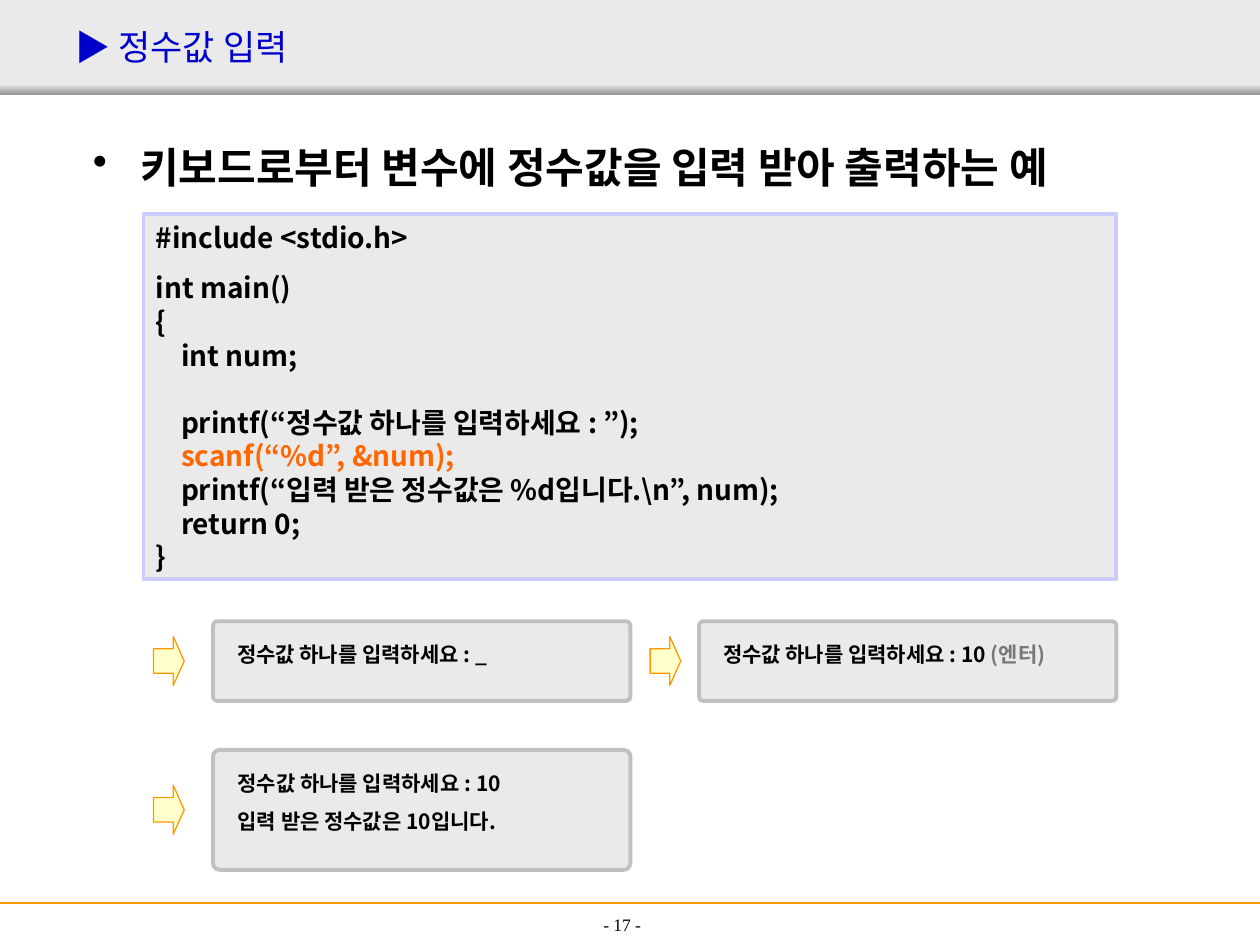
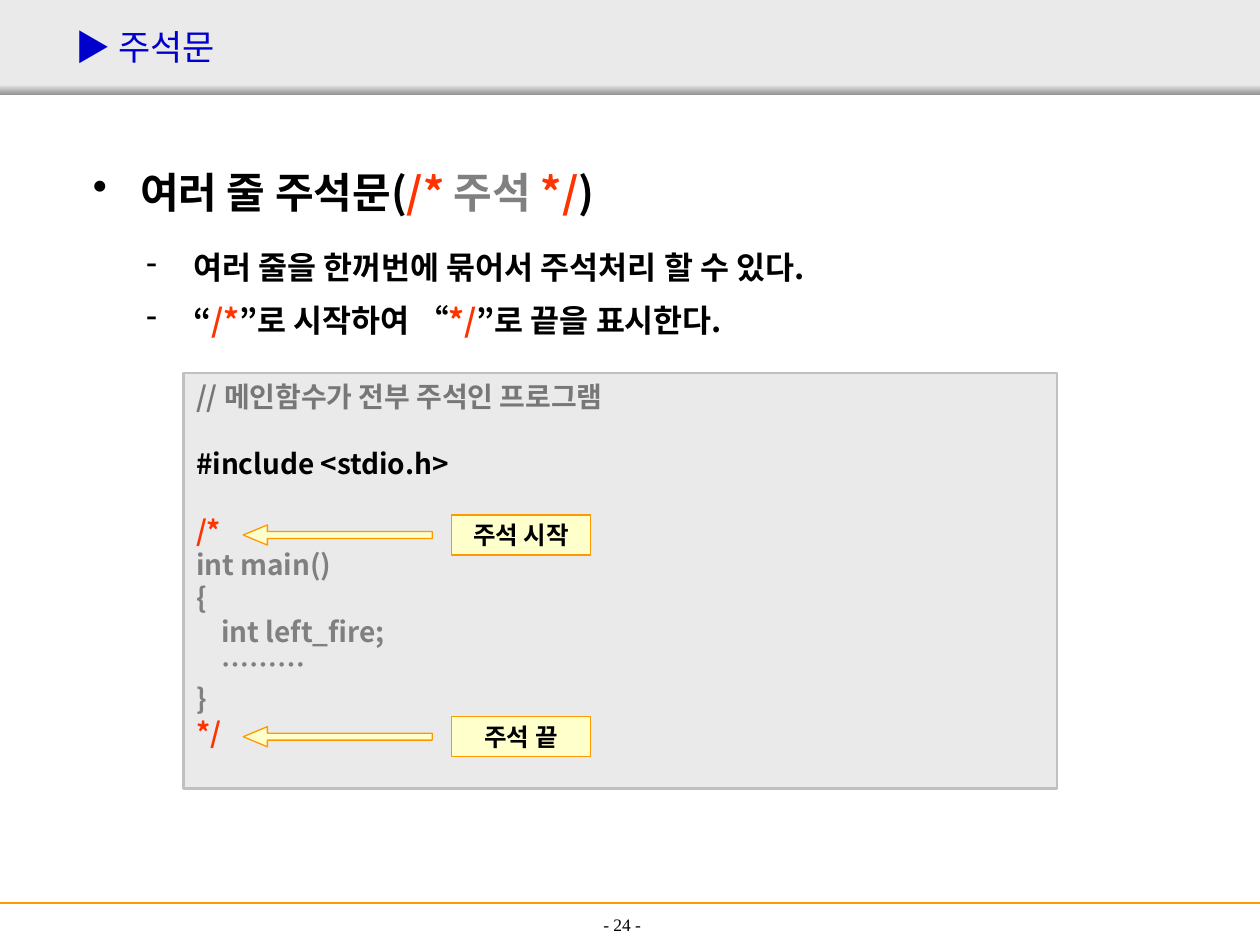
from dataclasses import dataclass

from lxml import etree
from pptx import Presentation
from pptx.dml.color import RGBColor
from pptx.enum import shapes, text
from pptx.oxml import ns
from pptx.util import Pt

FONT = "Noto Sans CJK KR"
BLACK, WHITE, BLUE = "000000", "FFFFFF", "0000CC"
PANEL, LAVENDER, SILVER = "EAEAEA", "CCCCFF", "C0C0C0"
GRAY, DARK_GRAY = "808080", "777777"
RED, SCAN_ORANGE, ORANGE, CREAM = "FF3300", "FF6600", "FF9900", "FFFFCC"

PAGE_WIDTH, PAGE_HEIGHT = 720, 540
CODE_INDENT = 14.4
CODE_GAP = 19.2
HANG = 27


@dataclass
class Line:
    """One paragraph: spans of (wording, colour) and its spacing."""
    spans: list
    spacing: float = 1.0
    before: float = 0
    indent: float = 0
    bullet: str = ""


def plain(wording, color=BLACK, **layout):
    return Line([(wording, color)], **layout)


def rgb(color):
    return RGBColor.from_string(color)


def add_child(parent, tag, **attributes):
    return etree.SubElement(parent, ns.qn(tag), attributes)


def format_span(span, size, color, bold, font=FONT):
    span.font.size = Pt(size)
    span.font.bold = bold
    span.font.name = font
    span.font.color.rgb = rgb(color)
    add_child(span.font._element, "a:ea", typeface=font)


def write(frame, lines, size, bold=True, font=FONT, align=text.PP_ALIGN.LEFT,
          anchor=text.MSO_ANCHOR.TOP, wrap=True):
    frame.word_wrap = wrap
    frame.auto_size = text.MSO_AUTO_SIZE.NONE
    frame.vertical_anchor = anchor
    for number, line in enumerate(lines):
        para = frame.add_paragraph() if number else frame.paragraphs[0]
        para.alignment = align
        para.line_spacing = line.spacing
        para.space_before = Pt(line.before)
        for wording, color in line.spans:
            span = para.add_run()
            span.text = wording
            format_span(span, size, color, bold, font)
        properties = para._p.get_or_add_pPr()
        properties.set("marL", str(Pt(line.indent)))
        if line.bullet:
            properties.set("indent", str(Pt(-HANG)))
            add_child(properties, "a:buChar", char=line.bullet)


def add_box(page, kind, left, top, width, height, fill, line=None, weight=0.75):
    box = page.shapes.add_shape(kind, Pt(left), Pt(top), Pt(width), Pt(height))
    box.shadow.inherit = False
    box.fill.solid()
    box.fill.fore_color.rgb = rgb(fill)
    if line:
        box.line.color.rgb = rgb(line)
        box.line.width = Pt(weight)
    else:
        box.line.fill.background()
    return box


def add_text(page, left, top, width, height, lines, size, **style):
    box = page.shapes.add_textbox(Pt(left), Pt(top), Pt(width), Pt(height))
    write(box.text_frame, lines, size, **style)


def add_header(page, wording):
    shade = add_box(page, shapes.MSO_SHAPE.RECTANGLE, 0, 48, PAGE_WIDTH, 6, PANEL)
    shade.fill.gradient()
    shade.fill.gradient_angle = 270
    for stop, color in zip(shade.fill.gradient_stops, ("ECECEC", "979797")):
        stop.color.rgb = rgb(color)
    add_box(page, shapes.MSO_SHAPE.RECTANGLE, 0, 0, PAGE_WIDTH, 49, PANEL)

    title = page.shapes.title
    title.left, title.top = Pt(36), Pt(9.5)
    title.width, title.height = Pt(511), Pt(34)
    write(title.text_frame, [plain(wording, BLUE)], 20, bold=False,
          anchor=text.MSO_ANCHOR.MIDDLE)
    # The title must lie in front of the band.
    title.element.getparent().append(title.element)


def add_footer(page, number):
    rule = page.shapes.add_connector(shapes.MSO_CONNECTOR.STRAIGHT,
                                     0, Pt(516), Pt(PAGE_WIDTH), Pt(516))
    rule.line.color.rgb = rgb(ORANGE)
    rule.line.width = Pt(1.5)
    add_child(rule._element.spPr, "a:effectLst")
    add_text(page, 245.5, 522, 220, 12.5, [plain(f"- {number} -")], 10, bold=False,
             font="Times New Roman", align=text.PP_ALIGN.CENTER,
             anchor=text.MSO_ANCHOR.MIDDLE)


def add_page(deck, title, number):
    page = deck.slides.add_slide(deck.slide_layouts[5])
    add_header(page, title)
    add_footer(page, number)
    return page


def add_code(page, left, top, width, height, lines, border, weight):
    panel = add_box(page, shapes.MSO_SHAPE.RECTANGLE, left, top, width, height,
                    PANEL, border, weight)
    write(panel.text_frame, lines, 16)


def add_console(page, left, top, height, lines, arrow_offset):
    """Console window with a block arrow pointing at its left side."""
    window = add_box(page, shapes.MSO_SHAPE.ROUNDED_RECTANGLE, left, top, 238.5, height,
                     PANEL, SILVER, 2.25)
    window.adjustments[0] = 0.055
    window.text_frame.margin_left = Pt(13)
    write(window.text_frame, lines, 12)
    arrow_height = 28
    arrow = add_box(page, shapes.MSO_SHAPE.RIGHT_ARROW, left - arrow_offset,
                    top + (height - arrow_height) / 2, 17.5, arrow_height, CREAM, ORANGE)
    arrow.adjustments[1] = 0.357


def add_callout(page, left, top, wording):
    """Left-pointing arrow followed by its label."""
    label_height, arrow_height = 23, 11.5
    arrow = add_box(page, shapes.MSO_SHAPE.LEFT_ARROW, left,
                    top + (label_height - arrow_height) / 2, 108, arrow_height,
                    CREAM, ORANGE)
    arrow.adjustments[0], arrow.adjustments[1] = 0.34, 1.2
    label = add_box(page, shapes.MSO_SHAPE.RECTANGLE, left + 119, top, 79.5,
                    label_height, CREAM, ORANGE)
    write(label.text_frame, [plain(wording)], 14, align=text.PP_ALIGN.CENTER,
          anchor=text.MSO_ANCHOR.MIDDLE, wrap=False)


def build_input_page(deck):
    page = add_page(deck, "▶ 정수값 입력", 17)
    add_text(page, 46, 71.5, 637, 47,
             [plain("키보드로부터 변수에 정수값을 입력 받아 출력하는 예",
                    spacing=1.2, before=6, indent=HANG, bullet="•")], 24)
    add_code(page, 82, 122.5, 556, 208.5, [
        plain("#include <stdio.h>"),
        plain("int main()", spacing=1.5),
        plain("{"),
        plain("int num;", indent=CODE_INDENT),
        plain("printf(“정수값 하나를 입력하세요 : ”);", indent=CODE_INDENT, before=CODE_GAP),
        plain("scanf(“%d”, &num);", SCAN_ORANGE, indent=CODE_INDENT),
        plain("printf(“입력 받은 정수값은 %d입니다.\\n”, num);", indent=CODE_INDENT),
        plain("return 0;", indent=CODE_INDENT),
        plain("}"),
    ], LAVENDER, 2.25)

    prompt = "정수값 하나를 입력하세요 : "
    left, right, first_row, second_row = 121.75, 399.5, 355, 428.5
    add_console(page, left, first_row, 45.5, [plain(prompt + "_", spacing=1.5)], 34)
    add_console(page, right, first_row, 45.5,
                [Line([(prompt + "10 ", BLACK), ("(엔터)", DARK_GRAY)], spacing=1.5)], 28)
    add_console(page, left, second_row, 68.5,
                [plain(prompt + "10", spacing=1.5),
                 plain("입력 받은 정수값은 10입니다.", spacing=1.5)], 34)


def build_comment_page(deck):
    page = add_page(deck, "▶ 주석문", 24)
    add_text(page, 46, 77, 524, 57, [
        Line([("여러 줄 주석문(", BLACK), ("/* ", RED), ("주석 ", GRAY),
              ("*/", RED), (")", BLACK)],
             spacing=1.5, before=6, indent=HANG, bullet="•")], 24)
    dash = dict(spacing=1.2, before=4.5, indent=HANG, bullet="-")
    add_text(page, 76.5, 134, 527, 73.5, [
        plain("여러 줄을 한꺼번에 묶어서 주석처리 할 수 있다.", **dash),
        Line([("“", BLACK), ("/*", RED), ("”로 시작하여 “", BLACK),
              ("*/", RED), ("”로 끝을 표시한다.", BLACK)], **dash)], 18)
    add_code(page, 105, 213.25, 499, 237.5, [
        plain("// 메인함수가 전부 주석인 프로그램", DARK_GRAY),
        plain("#include <stdio.h>", before=CODE_GAP),
        plain("/*", RED, before=CODE_GAP),
        plain("int main()", GRAY),
        plain("{", GRAY),
        plain("int left_fire;", GRAY, indent=CODE_INDENT),
        plain("………", GRAY, indent=CODE_INDENT),
        plain("}", GRAY),
        plain("*/", RED),
    ], SILVER, 1.5)
    for top, wording in ((294.25, "주석 시작"), (409.5, "주석 끝")):
        add_callout(page, 139, top, wording)


def main():
    deck = Presentation()
    deck.slide_width, deck.slide_height = Pt(PAGE_WIDTH), Pt(PAGE_HEIGHT)
    build_input_page(deck)
    build_comment_page(deck)
    deck.save("out.pptx")


if __name__ == "__main__":
    main()
